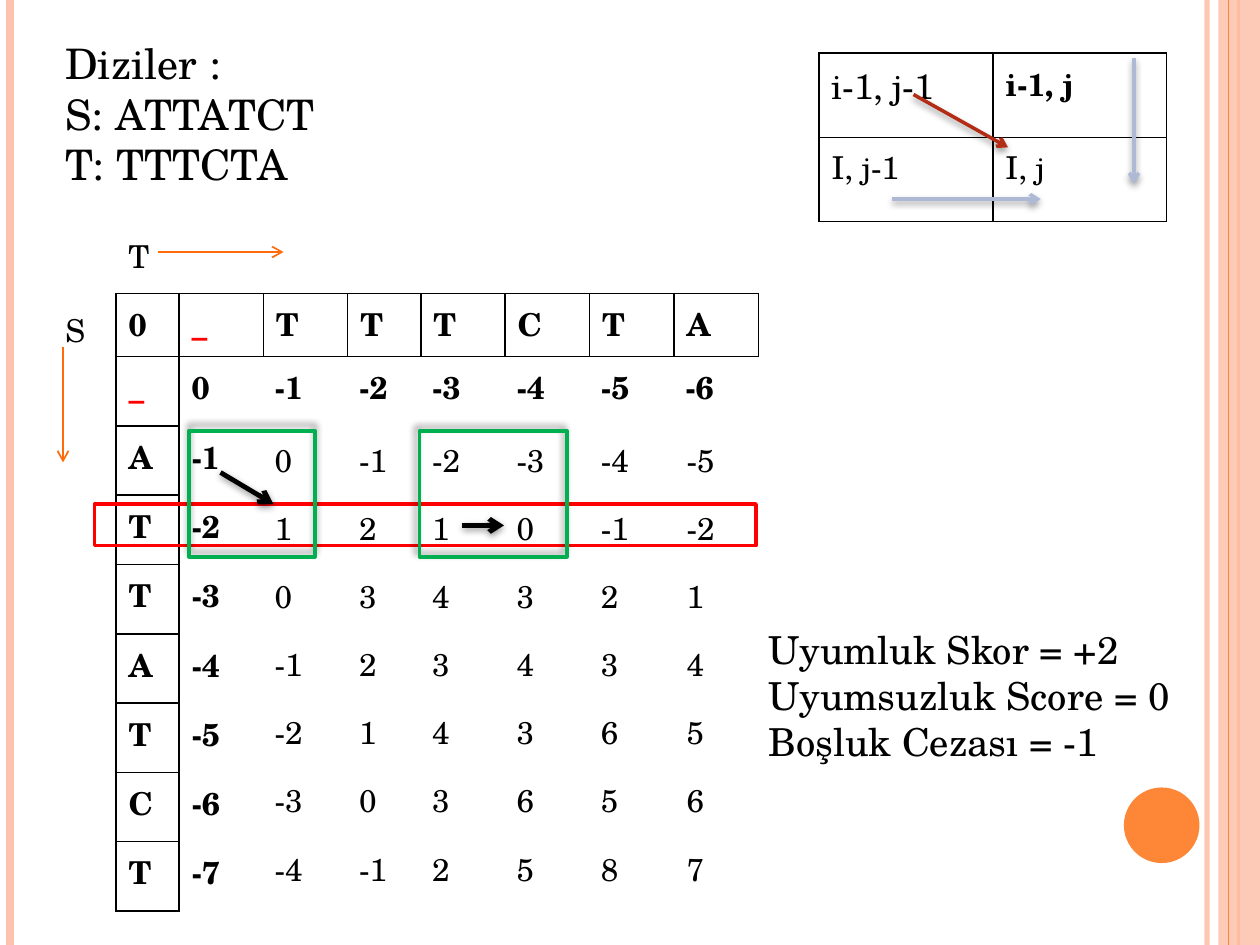
from lxml import etree
from pptx import Presentation
from pptx.dml.color import RGBColor
from pptx.enum import shapes, text
from pptx.oxml import ns
from pptx.util import Inches, Pt

FONT = "TeX Gyre Schola"
COLORS = {
    "black": "000000", "red": "FF0000", "green": "00B050", "peach": "FEC3AE",
    "orange": "FE8637", "arrow": "FF6B0A", "rust": "B32C16", "blue": "AEBAD5",
}
NO_GRID_STYLE = "{2D5ABB26-0587-4C30-8999-92F81FD0307C}"
SOFT_SHADOW = (40, 4, 2, 90)
BOLD_SHADOW = (42, 4, 1.6, 90)


def rgb(name):
    return RGBColor.from_string(COLORS[name])


def child(parent, tag, **attributes):
    element = etree.SubElement(parent, ns.qn("a:" + tag))
    for key, value in attributes.items():
        element.set(key, str(value))
    return element


def set_alpha(properties, percent):
    color = next(properties.iter(ns.qn("a:srgbClr")))
    child(color, "alpha", val=percent * 1000)


def set_shadow(shape, shadow):
    """Shadow is (opacity, blur, distance, direction), or None for no shadow."""
    effects = child(shape._element.spPr, "effectLst")
    if shadow:
        opacity, blur, distance, direction = shadow
        outer = child(effects, "outerShdw", blurRad=Pt(blur), dist=Pt(distance),
                      dir=direction * 60000, rotWithShape=0)
        child(child(outer, "srgbClr", val=COLORS["black"]), "alpha", val=opacity * 1000)


def write(frame, content, size=18, color="black", bold=False):
    frame.word_wrap = True
    for index, line in enumerate(content.split("\n")):
        paragraph = frame.paragraphs[0] if index == 0 else frame.add_paragraph()
        paragraph.alignment = text.PP_ALIGN.LEFT
        run = paragraph.add_run()
        run.text = line
        run.font.name = FONT
        run.font.size = Pt(size)
        run.font.bold = bold
        run.font.color.rgb = rgb(color)


def add_text(slide, box, content, **style):
    shape = slide.shapes.add_textbox(*map(Inches, box))
    write(shape.text_frame, content, **style)


def add_line(slide, start, end, color, width, arrow=False, shadow=None, alpha=None):
    line = slide.shapes.add_connector(
        shapes.MSO_CONNECTOR.STRAIGHT, *map(Inches, (*start, *end)))
    line.line.color.rgb = rgb(color)
    line.line.width = Pt(width)
    properties = line.line._get_or_add_ln()
    if alpha:
        set_alpha(properties, alpha)
    if arrow:
        child(properties, "tailEnd", type="arrow")
    set_shadow(line, shadow)


def add_frame(slide, box, color, shadow=None):
    shape = slide.shapes.add_shape(shapes.MSO_SHAPE.RECTANGLE, *map(Inches, box))
    shape.fill.background()
    shape.line.color.rgb = rgb(color)
    shape.line.width = Pt(2)
    child(shape.line._get_or_add_ln(), "round")
    set_shadow(shape, shadow)


def add_solid(slide, kind, box, color, alpha=None):
    shape = slide.shapes.add_shape(kind, *map(Inches, box))
    shape.shadow.inherit = False
    shape.fill.solid()
    shape.fill.fore_color.rgb = rgb(color)
    shape.line.fill.background()
    if alpha:
        set_alpha(shape._element.spPr, alpha)


def add_borders(cell):
    properties = cell._tc.get_or_add_tcPr()
    for index, side in enumerate(("lnL", "lnR", "lnT", "lnB")):
        border = etree.Element(ns.qn("a:" + side), w=str(Pt(1)))
        child(child(border, "solidFill"), "srgbClr", val=COLORS["black"])
        properties.insert(index, border)


def add_grid(slide, left, top, columns, rows, values, border=False, bold=False, sizes=None):
    """Values are rows of strings; sizes and bold may be set cell by cell."""
    graphic = slide.shapes.add_table(
        len(rows), len(columns), Inches(left), Inches(top),
        Inches(sum(columns)), Inches(sum(rows)))
    table = graphic.table
    table.first_row = table.horz_banding = False
    table._tbl.tblPr.find(ns.qn("a:tableStyleId")).text = NO_GRID_STYLE
    for column, width in zip(table.columns, columns):
        column.width = Inches(width)
    for row, height in zip(table.rows, rows):
        row.height = Inches(height)
    for r, line in enumerate(values):
        for c, value in enumerate(line):
            cell = table.cell(r, c)
            cell.fill.background()
            write(cell.text_frame, value,
                  size=sizes[r][c] if sizes else 18,
                  color="red" if value == "_" else "black",
                  bold=bold[r][c] if isinstance(bold, list) else bold)
            if border:
                add_borders(cell)


def add_background(slide, width, height):
    def stripe(x, color, weight, alpha=None):
        add_line(slide, (x, 0), (x, height), color, weight, alpha=alpha)

    stripe(width - 0.42, "peach", 3, alpha=93)
    stripe(0.08, "peach", 4.5)
    stripe(width - 0.17, "orange", 1.5)
    add_solid(slide, shapes.MSO_SHAPE.RECTANGLE, (width - 0.33, 0, 0.33, height),
              "peach", alpha=87)
    stripe(width - 0.25, "orange", 0.75)
    add_solid(slide, shapes.MSO_SHAPE.OVAL, (width - 1.08, height - 1.25, 0.6, 0.6), "orange")


def add_score_matrix(slide, left, top):
    # Axis labels and their arrows
    add_text(slide, (left, top - 0.5, 1.75, 0.4), "T")
    add_text(slide, (left - 0.5, top + 0.09, 0.33, 1.62), "S")

    # Sequence headers
    inner, body = left + 0.5, left + 1.16
    widths = [0.67, 0.58, 0.67, 0.67, 0.67, 0.67]
    add_grid(slide, left, top, [0.5], [0.5] + [0.55] * 8, list("0_ATTATCT"),
             border=True, bold=True)
    add_grid(slide, inner, top, [0.67] + widths, [0.5], ["_TTTCTA"], border=True, bold=True)

    # Gap penalties along the first column and row
    add_grid(slide, inner, top + 0.5, [0.67], [0.55] * 8,
             [[str(-step)] for step in range(8)], bold=True)
    add_grid(slide, body, top + 0.5, widths, [0.58],
             [[str(-step) for step in range(1, 7)]], bold=True)

    # Scores
    scores = [
        "0 -1 -2 -3 -4 -5", "1 2 1 0 -1 -2", "0 3 4 3 2 1", "-1 2 3 4 3 4",
        "-2 1 4 3 6 5", "-3 0 3 6 5 6", "-4 -1 2 5 8 7",
    ]
    add_grid(slide, body, top + 1.09, widths[:4] + [0.68, 0.65], [0.54] * 6 + [0.62],
             [line.split() for line in scores])
    add_line(slide, (left + 0.33, top - 0.33), (left + 1.33, top - 0.33), "arrow", 1, arrow=True)
    add_line(slide, (left - 0.42, top + 0.42), (left - 0.42, top + 1.34), "arrow", 1, arrow=True)


def add_highlights(slide, left, top):
    add_frame(slide, (left, top + 0.58, 5.25, 0.33), "red")
    add_frame(slide, (left + 0.75, top, 1, 1), "green", shadow=(40, 4, 3, 270))
    add_line(slide, (left + 1, top + 0.33), (left + 1.42, top + 0.58), "black", 2.75,
             arrow=True, shadow=BOLD_SHADOW)
    add_frame(slide, (left + 2.58, top, 1.17, 1), "green", shadow=(40, 4, 3, 225))
    add_line(slide, (left + 2.92, top + 0.75), (left + 3.25, top + 0.75), "black", 2.75,
             arrow=True, shadow=BOLD_SHADOW)


def add_neighbour_key(slide, left, top):
    add_grid(slide, left, top, [1.38] * 2, [0.67] * 2,
             [["i-1, j-1", "i-1, j"], ["I, j-1", "I, j"]], border=True,
             bold=[[False, True], [False, False]], sizes=[[20, 18], [18, 18]])
    for start, end, color in (
        ((0.75, 0.33), (1.5, 0.75), "rust"),
        ((2.5, 0.04), (2.5, 1.04), "blue"),
        ((0.58, 1.16), (1.76, 1.16), "blue"),
    ):
        add_line(slide, (left + start[0], top + start[1]), (left + end[0], top + end[1]),
                 color, 2, arrow=True, shadow=SOFT_SHADOW)


presentation = Presentation()
presentation.slide_width, presentation.slide_height = Inches(10), Inches(7.5)
slide = presentation.slides.add_slide(presentation.slide_layouts[6])

add_background(slide, 10, 7.5)
add_text(slide, (0.42, 0.25, 3, 1.31), "Diziler :\nS: ATTATCT\nT: TTTCTA ", size=24)
add_score_matrix(slide, 0.92, 2.33)
add_text(slide, (6, 4.92, 3.5, 1.21),
         "Uyumluk Skor = +2\nUyumsuzluk Score = 0\nBoşluk Cezası = -1", size=22)
add_neighbour_key(slide, 6.5, 0.42)
add_highlights(slide, 0.75, 3.42)

presentation.save("out.pptx")
